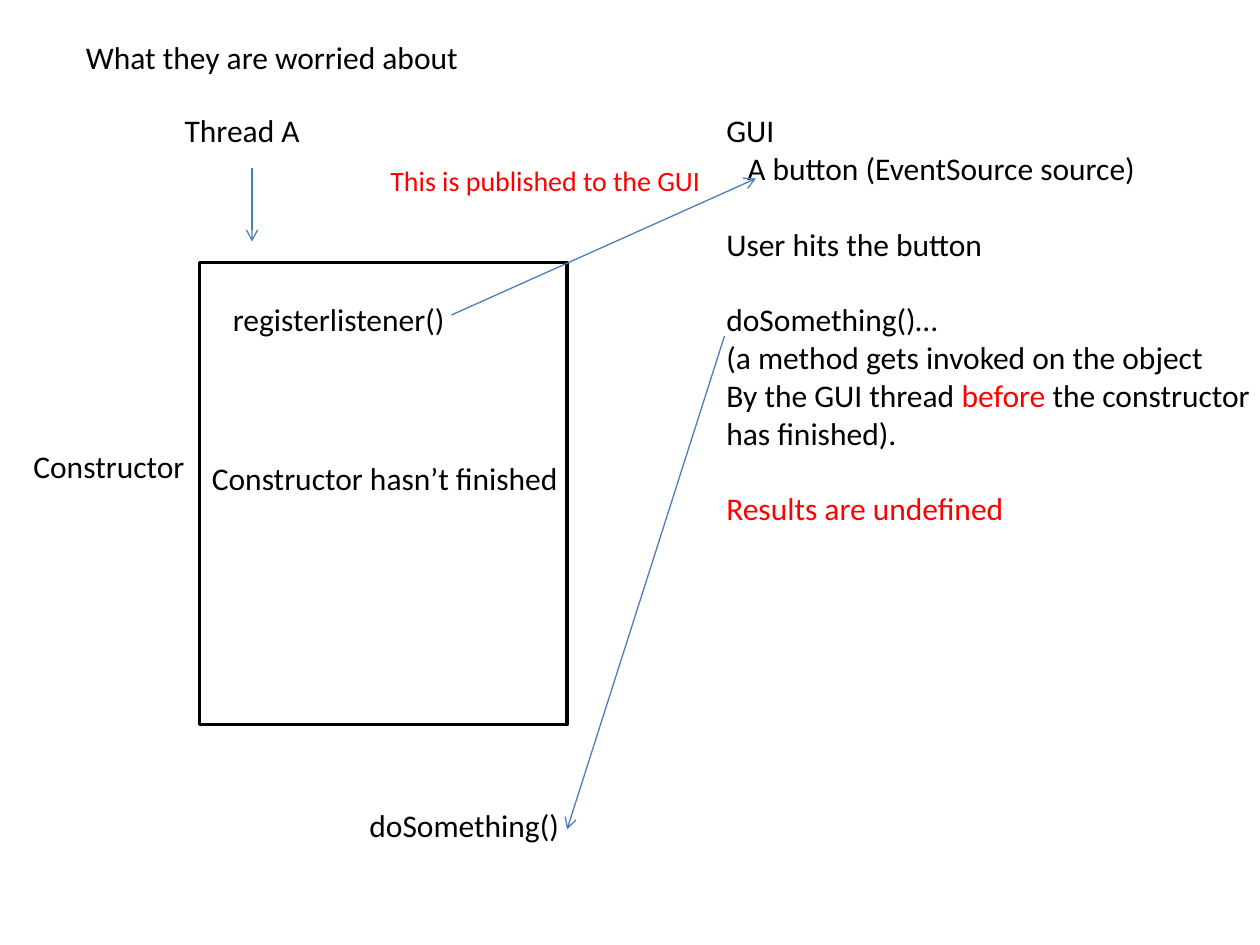
"""Build a slide on publishing an object before its constructor has finished."""
from dataclasses import dataclass

from lxml import etree
from pptx import Presentation
from pptx.dml.color import RGBColor
from pptx.enum.shapes import MSO_CONNECTOR, MSO_SHAPE
from pptx.oxml.ns import qn
from pptx.util import Inches, Pt

STRAIGHT = MSO_CONNECTOR.STRAIGHT
RECTANGLE = MSO_SHAPE.RECTANGLE


@dataclass(frozen=True)
class Theme:
    font: str = "Calibri"
    ink: RGBColor = RGBColor(0, 0, 0)
    alert: RGBColor = RGBColor(255, 0, 0)
    arrow: RGBColor = RGBColor(0x4B, 0x7E, 0xBC)
    body: Pt = Pt(18)
    note: Pt = Pt(16)
    blank_line: Pt = Pt(21.6)
    frame_line: Pt = Pt(2)
    arrow_line: Pt = Pt(0.75)


theme = Theme()
deck = Presentation()
deck.slide_width, deck.slide_height = Inches(10), Inches(7.5)
COLUMN = deck.slide_width / 120
ROW = deck.slide_height / 90
page = deck.slides.add_slide(deck.slide_layouts[6])


def grid(*cells):
    """Turn alternating columns and rows into lengths."""
    return [round(cell * (ROW if i % 2 else COLUMN)) for i, cell in enumerate(cells)]


def add_text(cells, paragraphs, size=theme.body):
    """Add a text box; each paragraph is (spans, gap before, indent in columns)."""
    frame = page.shapes.add_textbox(*grid(*cells)).text_frame
    frame.word_wrap = True
    for i, (spans, gap, indent) in enumerate(paragraphs):
        para = frame.paragraphs[0] if i == 0 else frame.add_paragraph()
        para.font.name, para.font.size = theme.font, size
        para.space_before = gap
        if indent:
            para._p.get_or_add_pPr().set("marL", str(round(indent * COLUMN)))
        for words, color in spans:
            span = para.add_run()
            span.text = words
            span.font.color.rgb = color


constructor = page.shapes.add_shape(RECTANGLE, *grid(19, 25, 35, 44))
constructor.shadow.inherit = False
constructor.fill.background()
constructor.line.color.rgb = theme.ink
constructor.line.width = theme.frame_line

labels = [
    ((7, 3, 38.5, 4.8), "What they are worried about", theme.ink, theme.body),
    ((16.4, 10, 14, 4.8), "Thread A", theme.ink, theme.body),
    ((2, 42, 45, 4.8), "Constructor", theme.ink, theme.body),
    ((21, 28, 27, 4.8), "registerlistener()", theme.ink, theme.body),
    ((19, 43.1, 36, 4.8), "Constructor hasn’t finished", theme.ink, theme.body),
    ((36, 15, 32.5, 4.4), "This is published to the GUI", theme.alert, theme.note),
    ((34, 76.2, 21, 4.8), "doSomething()", theme.ink, theme.body),
]
for cells, words, color, size in labels:
    add_text(cells, [([(words, color)], Pt(0), 0)], size)

gui_story = [
    ([("GUI", theme.ink)], Pt(0), 0),
    ([("A button (EventSource source)", theme.ink)], Pt(0), 2),
    ([("User hits the button", theme.ink)], theme.blank_line, 0),
    ([("doSomething()…", theme.ink)], theme.blank_line, 0),
    ([("(a method gets invoked on the object", theme.ink)], Pt(0), 0),
    ([("By the GUI thread ", theme.ink), ("before ", theme.alert),
      ("the constructor has finished).", theme.ink)], Pt(0), 0),
    ([("Results are undefined", theme.alert)], theme.blank_line, 0),
]
add_text((68, 10, 53, 52), gui_story)

arrows = [(24, 16, 24, 23), (43, 30, 72, 17), (69, 32, 54, 79)]
for ends in arrows:
    arrow = page.shapes.add_connector(STRAIGHT, *grid(*ends))
    arrow.line.color.rgb = theme.arrow
    arrow.line.width = theme.arrow_line
    etree.SubElement(arrow.line._get_or_add_ln(), qn("a:tailEnd"), type="arrow")
    etree.SubElement(arrow._element.spPr, qn("a:effectLst"))

deck.save("out.pptx")
